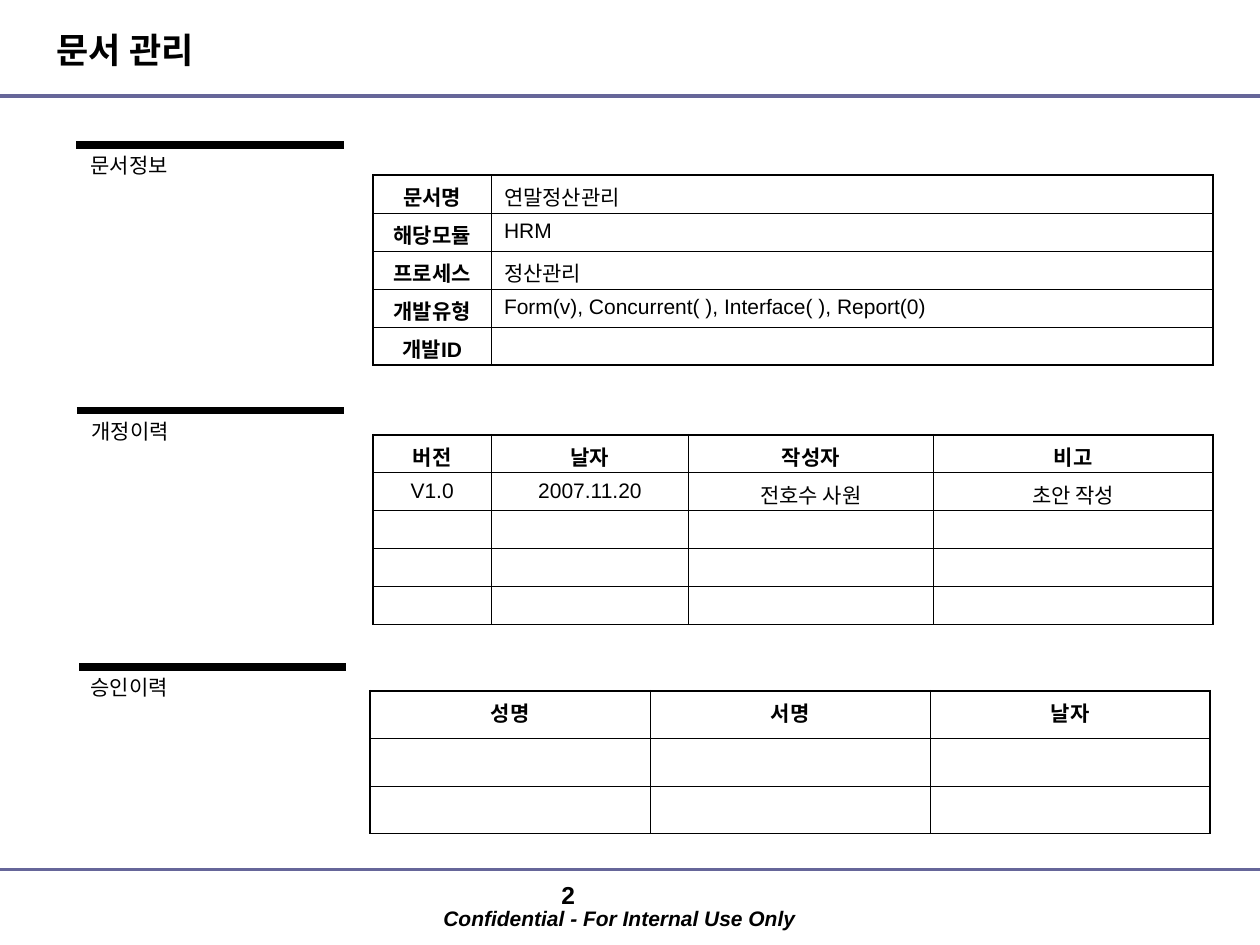
from dataclasses import dataclass

from lxml.etree import SubElement
from pptx import Presentation
from pptx.dml.color import RGBColor
from pptx.enum.shapes import MSO_CONNECTOR
from pptx.enum.text import MSO_ANCHOR, MSO_AUTO_SIZE, PP_ALIGN
from pptx.oxml.ns import qn
from pptx.util import Pt


@dataclass(frozen=True)
class Theme:
    ink: str = "000000"
    rule: str = "666699"
    paper: str = "FFFFFF"
    font: str = "Arial"
    label_font: str = "Times New Roman"
    title_size: float = 20
    number_size: float = 14
    body_size: float = 12
    outer_border: float = 1.08
    inner_border: float = 0.45


@dataclass(frozen=True)
class Box:
    left: float
    top: float
    width: float
    height: float


@dataclass(frozen=True)
class Section:
    label: str
    box: Box
    bar_shift: float
    table_box: Box
    columns: tuple
    rows: tuple
    row_height: float
    header_row: bool = True
    bottom_margin: float = 3.6


THEME = Theme()

SECTIONS = (
    Section(
        "문서정보", Box(44.6, 82.8, 152.6, 132), -0.9, Box(168.5, 17.3, 480.2, 108.5),
        (67.7, 412.5),
        (("문서명", "연말정산관리"), ("해당모듈", "HRM"), ("프로세스", "정산관리"),
         ("개발유형", "Form(v), Concurrent( ), Interface( ), Report(0)"), ("개발ID", "")),
        21.7, header_row=False, bottom_margin=0,
    ),
    Section(
        "개정이력", Box(45.3, 234.6, 152.6, 132), -1.3, Box(167.8, 13.8, 480.2, 108.5),
        (67.7, 112.7, 139.8, 160),
        (("버전", "날자", "작성자", "비고"),
         ("V1.0", "2007.11.20", "전호수 사원", "초안 작성"), *(("",) * 4,) * 3),
        21.7,
    ),
    Section(
        "승인이력", Box(44.6, 381, 152.6, 100), 0.6, Box(166.9, 13.7, 480, 81.6),
        (160, 160, 160), (("성명", "서명", "날자"), *(("",) * 3,) * 2), 27.2,
    ),
)


def apply_format(target, values):
    for name, value in values.items():
        setattr(target, name, value)


def write_text(text_frame, text, size, bold=False, italic=False, font=THEME.font, **layout):
    paragraph = text_frame.paragraphs[0]
    apply_format(paragraph, layout)
    if not text:
        SubElement(paragraph._p, qn("a:endParaRPr"), sz=str(int(size * 100)))
        return
    run = paragraph.add_run()
    run.text = text
    apply_format(run.font, {"name": font, "size": Pt(size), "bold": bold, "italic": italic})
    run.font.color.rgb = RGBColor.from_string(THEME.ink)


def add_text(slide, box, text, size, wrap=True, margins=None, **formats):
    shape = slide.shapes.add_textbox(Pt(box.left), Pt(box.top), Pt(box.width), Pt(box.height))
    shape.text_frame.word_wrap = wrap
    if not wrap:
        shape.text_frame.auto_size = MSO_AUTO_SIZE.SHAPE_TO_FIT_TEXT
    apply_format(shape.text_frame, margins or {})
    write_text(shape.text_frame, text, size, **formats)


def add_rule(slide, left, top, width, color, weight):
    connector = slide.shapes.add_connector(
        MSO_CONNECTOR.STRAIGHT, Pt(left), Pt(top), Pt(left + width), Pt(top))
    connector.line.color.rgb = RGBColor.from_string(color)
    connector.line.width = Pt(weight)
    SubElement(connector._element.spPr, qn("a:effectLst"))


def set_borders(cell, outer_sides):
    properties = cell._tc.get_or_add_tcPr()
    for position, side in enumerate(("lnL", "lnR", "lnT", "lnB")):
        weight = THEME.outer_border if side in outer_sides else THEME.inner_border
        line = properties.makeelement(qn(f"a:{side}"), {"w": str(int(Pt(weight)))})
        fill = SubElement(line, qn("a:solidFill"))
        SubElement(fill, qn("a:srgbClr"), val=THEME.ink)
        properties.insert(position, line)


def add_section_table(slide, section, box):
    row_count, column_count = len(section.rows), len(section.columns)
    table = slide.shapes.add_table(
        row_count, column_count, Pt(box.left), Pt(box.top), Pt(box.width), Pt(box.height)).table
    apply_format(table, {"first_row": section.header_row, "horz_banding": False})
    for column, width in zip(table.columns, section.columns):
        column.width = Pt(width)
    for row_index, values in enumerate(section.rows):
        table.rows[row_index].height = Pt(section.row_height)
        for column_index, text in enumerate(values):
            cell = table.cell(row_index, column_index)
            cell.margin_bottom = Pt(section.bottom_margin)
            cell.fill.solid()
            cell.fill.fore_color.rgb = RGBColor.from_string(THEME.paper)
            heading = row_index == 0 if section.header_row else column_index == 0
            centered = section.header_row or heading
            write_text(cell.text_frame, text, THEME.body_size, bold=heading,
                       alignment=PP_ALIGN.CENTER if centered else PP_ALIGN.LEFT)
            edges = {"lnL": column_index == 0, "lnR": column_index == column_count - 1,
                     "lnT": row_index == 0, "lnB": row_index == row_count - 1}
            set_borders(cell, {side for side, is_outer in edges.items() if is_outer})


def add_section(slide, section):
    box, inner = section.box, section.table_box
    add_rule(slide, box.left + section.bar_shift, box.top, box.width, THEME.ink, 4.5)
    add_text(slide, Box(box.left, box.top + 2.4, 58.3, 20.2), section.label, THEME.body_size,
             wrap=False, font=THEME.label_font, alignment=PP_ALIGN.CENTER, line_spacing=0.9)
    add_section_table(slide, section, Box(
        box.left + inner.left, box.top + inner.top, inner.width, inner.height))


def add_header(slide, box, text):
    title = slide.shapes.title
    apply_format(title, {"left": Pt(box.left), "top": Pt(box.top),
                         "width": Pt(box.width), "height": Pt(box.height)})
    apply_format(title.text_frame, {"vertical_anchor": MSO_ANCHOR.MIDDLE, "word_wrap": True,
                                    "auto_size": MSO_AUTO_SIZE.NONE})
    write_text(title.text_frame, text, THEME.title_size, bold=True, alignment=PP_ALIGN.LEFT)
    add_rule(slide, 0, box.top + 47.5, 720, THEME.rule, 2.25)


def add_footer(slide, box):
    add_rule(slide, box.left, box.top, box.width, THEME.rule, 1.5)
    add_text(slide, Box(box.left + 255.6, box.top - 9.4, 138.2, 36), "2", THEME.number_size,
             bold=True, alignment=PP_ALIGN.CENTER, line_spacing=1.7)
    no_margins = {f"margin_{side}": Pt(0) for side in ("left", "right", "top", "bottom")}
    add_text(slide, Box(box.left + 253.4, box.top + 20.9, 201.6, 14.4),
             "Confidential - For Internal Use Only", THEME.body_size, wrap=False,
             margins=no_margins, bold=True, italic=True)


def main():
    presentation = Presentation()
    apply_format(presentation, {"slide_width": Pt(720), "slide_height": Pt(540)})
    slide = presentation.slides.add_slide(presentation.slide_layouts[5])
    add_header(slide, Box(25.2, 7.2, 679.7, 41.8), "문서 관리")
    for section in SECTIONS:
        add_section(slide, section)
    add_footer(slide, Box(0, 496.8, 720, 43.2))
    presentation.save("out.pptx")


if __name__ == "__main__":
    main()
